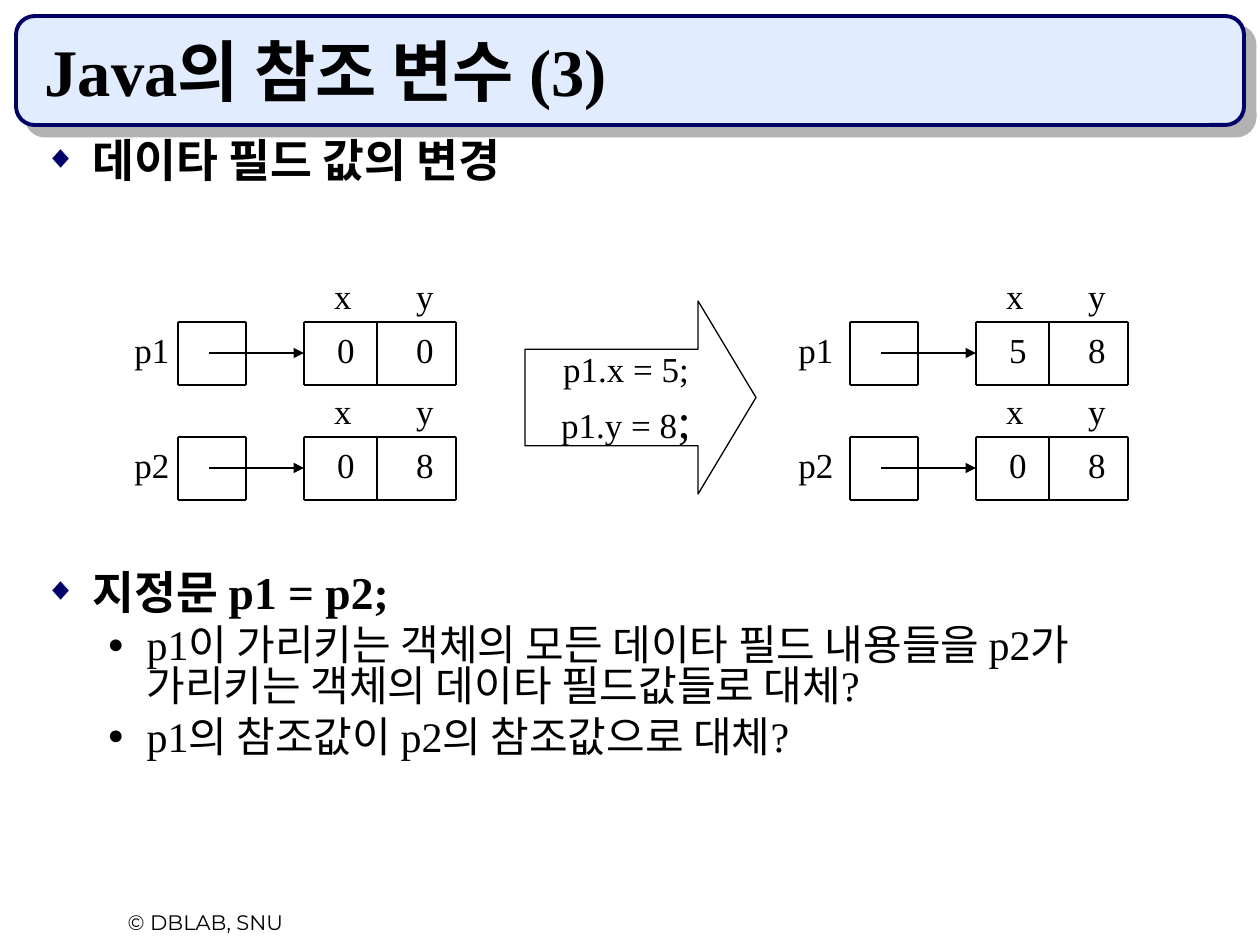
from lxml import etree
from pptx import Presentation
from pptx.dml.color import RGBColor
from pptx.enum.shapes import MSO_CONNECTOR, MSO_SHAPE
from pptx.enum.text import MSO_ANCHOR, MSO_AUTO_SIZE, PP_ALIGN
from pptx.oxml.ns import qn
from pptx.util import Emu, Pt

EMU_PER_PX = 914400 / 126
STRAIGHT = MSO_CONNECTOR.STRAIGHT
ROUNDED, RIGHT_ARROW = MSO_SHAPE.ROUNDED_RECTANGLE, MSO_SHAPE.RIGHT_ARROW
TOP, MIDDLE, BOTTOM = MSO_ANCHOR.TOP, MSO_ANCHOR.MIDDLE, MSO_ANCHOR.BOTTOM
LEFT, CENTER = PP_ALIGN.LEFT, PP_ALIGN.CENTER
NO_AUTOFIT = MSO_AUTO_SIZE.NONE
SERIF = "Times New Roman"
BLACK, NAVY = "000000", "000066"
ROW_HEIGHT = 63
ROW_TOPS = (322, 437)
STATES = (
    (0, 94, (("p1", 0, 0), ("p2", 0, 8))),
    (672, 758, (("p1", 5, 8), ("p2", 0, 8))),
)
BULLETS = (
    dict(text="데이타 필드 값의 변경"),
    dict(text="지정문 p1 = p2;", before=222),
    dict(text="p1이 가리키는 객체의 모든 데이타 필드 내용들을 p2가 가리키는 객체의 "
              "데이타 필드값들로 대체?", level=1, before=6),
    dict(text="p1의 참조값이 p2의 참조값으로 대체?", level=1, before=6),
)
BULLET_STYLES = (
    dict(margin=48, hanging=48, mark="◆", color=NAVY, percent=70, size=26, bold=True),
    dict(margin=102, hanging=39, mark="●", color=BLACK, percent=65, size=24, bold=False),
)


def px(*lengths):
    """Turn pixel lengths into EMU."""
    return [Emu(round(length * EMU_PER_PX)) for length in lengths]


def rgb(color):
    """Turn a hex string into a colour."""
    return RGBColor.from_string(color)


def child(parent, tag, **attributes):
    """Append an XML element with attributes."""
    element = etree.SubElement(parent, qn(tag))
    for name, value in attributes.items():
        element.set(name, str(value))
    return element


def write(para, text, size=20, font=SERIF, bold=False, color=BLACK, align=CENTER, spacing=None):
    """Add a formatted span to a paragraph."""
    para.alignment = align
    if spacing:
        para.line_spacing = spacing
    span = para.add_run()
    span.text = text
    span.font.size = Pt(size)
    span.font.name = font
    span.font.bold = bold
    span.font.color.rgb = rgb(color)


def add_text(page, text, frame, anchor=MIDDLE, **style):
    """Add a wrapped text box with one paragraph."""
    box = page.shapes.add_textbox(*px(*frame)).text_frame
    box.word_wrap = True
    box.vertical_anchor = anchor
    write(box.paragraphs[0], text, **style)


def add_line(page, start, end, width=1, arrow=False):
    """Add a straight black line, with an arrowhead if asked."""
    line = page.shapes.add_connector(STRAIGHT, *px(*start, *end))
    line.line.color.rgb = rgb(BLACK)
    line.line.width = Pt(width)
    properties = line.element.spPr
    if arrow:
        child(properties.find(qn("a:ln")), "a:tailEnd", type="triangle")
    child(properties, "a:effectLst")


def add_cells(page, top, edges):
    """Draw a row of cells between the given vertical edges."""
    bottom = top + ROW_HEIGHT
    for y in (top, bottom):
        add_line(page, (edges[0], y), (edges[-1], y))
    for x in edges:
        add_line(page, (x, top), (x, bottom))


def add_reference(page, name, x_value, y_value, shift, label_left, top):
    """Draw a variable that points to an object with fields x and y."""
    for heading, value, left, width in (("x", x_value, 304, 84), ("y", y_value, 388, 74)):
        heading_width = min(width, 78)
        add_text(page, heading, (left + shift, top - 60, heading_width, 60), BOTTOM, spacing=0.8)
        add_text(page, str(value), (left + shift, top, width, ROW_HEIGHT), spacing=0.8)
    add_text(page, name, (label_left, top, 116, ROW_HEIGHT), spacing=0.8)
    add_cells(page, top, (178 + shift, 246 + shift))
    add_cells(page, top, (304 + shift, 377 + shift, 456 + shift))
    middle = top + 31
    add_line(page, (209 + shift, middle), (304 + shift, middle), 0.75, arrow=True)


def add_banner(page):
    """Put the shadowed banner behind the title."""
    banner = page.shapes.add_shape(ROUNDED, *px(16, 16, 1228, 109))
    banner.adjustments[0] = 0.17
    banner.fill.solid()
    banner.fill.fore_color.rgb = rgb("E1ECFF")
    banner.line.color.rgb = rgb(NAVY)
    banner.line.width = Pt(2.25)
    effects = child(banner.element.spPr, "a:effectLst")
    shadow = child(effects, "a:outerShdw", dist=Pt(8.5), dir=45 * 60000, algn="ctr", rotWithShape=0)
    child(shadow, "a:srgbClr", val="B2B2B2")
    page.shapes.title.element.addprevious(banner.element)


def set_placeholder(holder, frame, anchor):
    """Move a placeholder and return its text frame."""
    holder.left, holder.top, holder.width, holder.height = px(*frame)
    box = holder.text_frame
    box.auto_size = NO_AUTOFIT
    box.vertical_anchor = anchor
    return box


def add_bullet(para, text, level=0, before=0):
    """Format a paragraph as a bullet of the given level."""
    style = BULLET_STYLES[level]
    para.level = level
    margin, indent = px(style["margin"], -style["hanging"])
    properties = para._p.get_or_add_pPr()
    properties.set("marL", str(margin))
    properties.set("indent", str(indent))
    child(child(properties, "a:buClr"), "a:srgbClr", val=style["color"])
    child(properties, "a:buSzPct", val=style["percent"] * 1000)
    child(properties, "a:buChar", char=style["mark"])
    para.space_before = Pt(before)
    write(para, text, style["size"], bold=style["bold"], align=LEFT, spacing=0.8)


def add_body(page):
    """Fill the body placeholder with the bullets."""
    box = set_placeholder(page.placeholders[1], (32, 136, 1187, 735), TOP)
    for index, bullet in enumerate(BULLETS):
        add_bullet(box.add_paragraph() if index else box.paragraphs[0], **bullet)


def add_assignment_arrow(page):
    """Draw the block arrow that holds the two assignments."""
    arrow = page.shapes.add_shape(RIGHT_ARROW, *px(525, 301, 231, 193))
    arrow.adjustments[0] = 0.5
    arrow.adjustments[1] = 0.3
    arrow.shadow.inherit = False
    arrow.fill.background()
    arrow.line.color.rgb = rgb(BLACK)
    arrow.line.width = Pt(0.75)
    box = arrow.text_frame
    box.word_wrap = False
    box.vertical_anchor = MIDDLE
    write(box.paragraphs[0], "p1.x = 5;")
    last = box.add_paragraph()
    write(last, "p1.y = 8")
    write(last, ";", size=28)


def main():
    """Build and save the slide."""
    deck = Presentation()
    deck.slide_width, deck.slide_height = px(1260, 945)
    page = deck.slides.add_slide(deck.slide_layouts[1])
    add_banner(page)
    title = set_placeholder(page.shapes.title, (32, 32, 1187, 84), BOTTOM)
    write(title.paragraphs[0], "Java의 참조 변수 (3)", size=38, bold=True, align=LEFT)
    add_body(page)
    for shift, label_left, variables in STATES:
        for top, variable in zip(ROW_TOPS, variables):
            add_reference(page, *variable, shift, label_left, top)
    add_assignment_arrow(page)
    add_text(page, "© DBLAB, SNU", (53, 903, 305, 38), TOP, size=12, font="Montserrat")
    deck.save("out.pptx")


if __name__ == "__main__":
    main()
